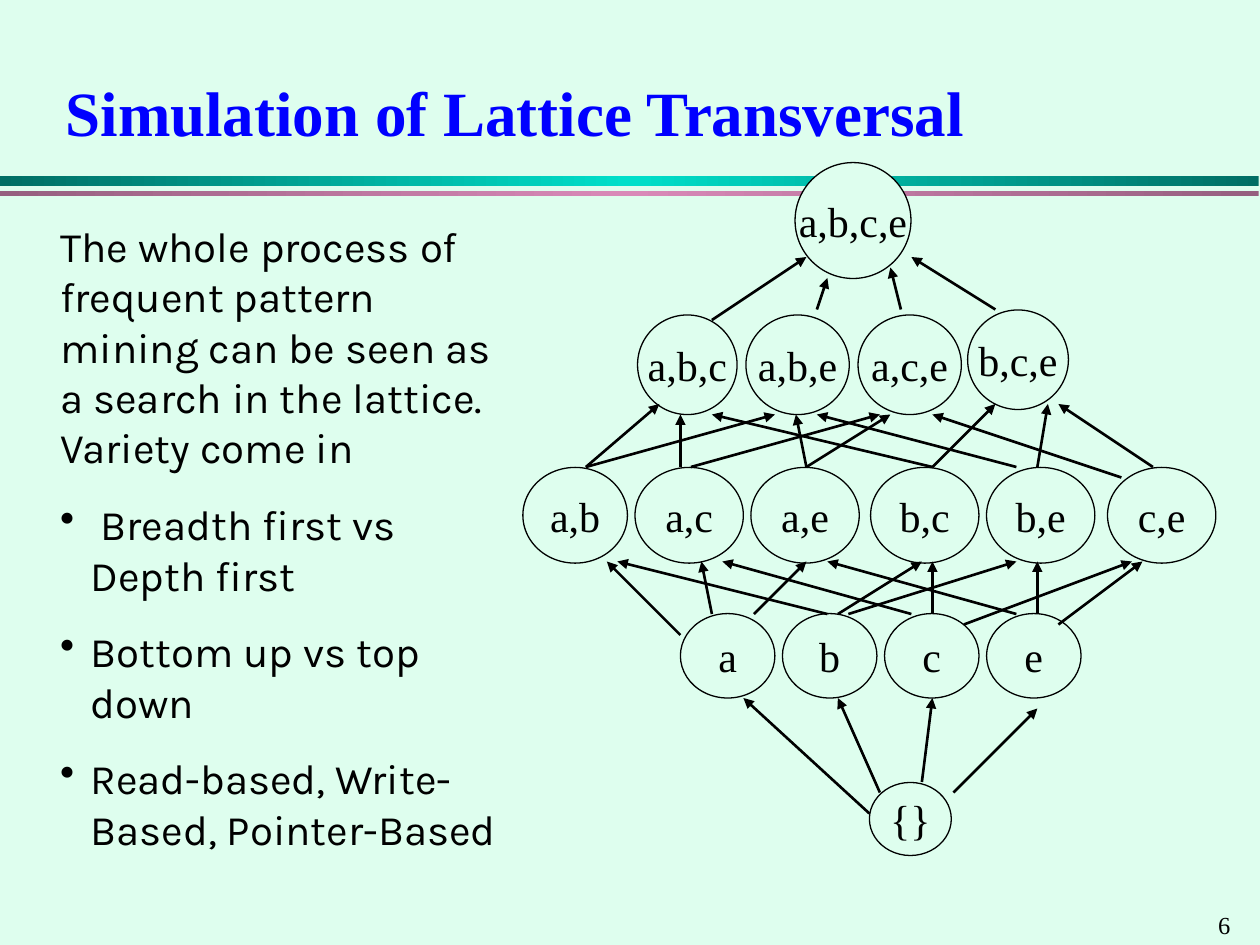
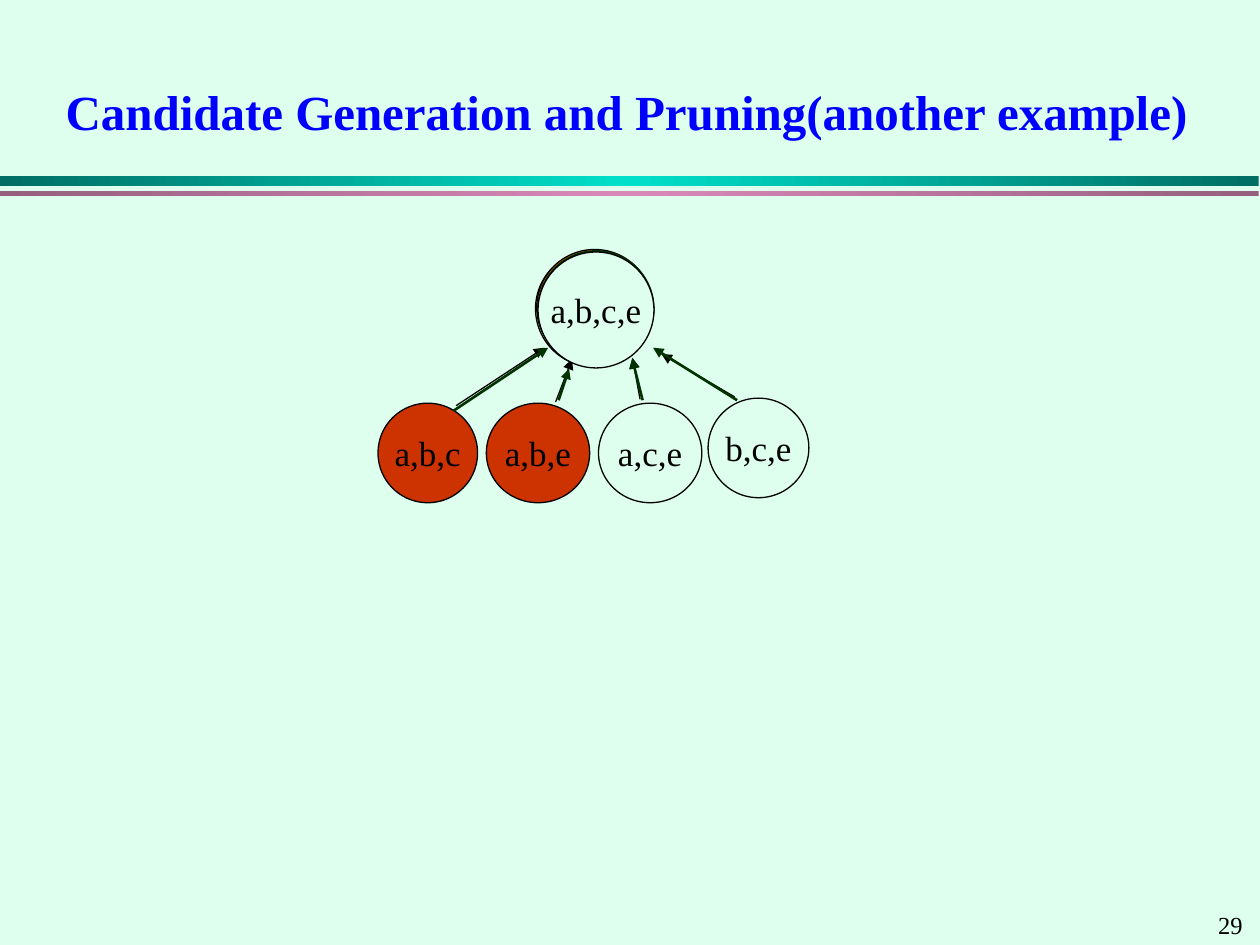
from copy import deepcopy

from lxml.etree import SubElement as Sub
from pptx import Presentation
from pptx.dml.color import RGBColor as Rgb
from pptx.enum.shapes import MSO_CONNECTOR as Link, MSO_SHAPE as Shape
from pptx.enum.text import MSO_ANCHOR as Anchor, PP_ALIGN as Align
from pptx.oxml.ns import qn
from pptx.util import Inches, Pt

HUES = {
    "mint": "DEFEEE", "ink": "000000", "blue": "0000FF",
    "teal": "006E64", "aqua": "00DFCA", "plum": "965F7F", "pink": "D989B8",
    "red": "CC3300", "orange": "FF6600", "green": "003300",
}
SERIF, SANS = "Times New Roman", "Karla"
THIN, BOLD = 0.74, 1.5

# Arrow grid: twelve cells to the inch, counted from this corner.
CELLS = 12
CORNER = (4.4, 2.04)
# Move of the top of the lattice on the second slide: circles, arrows.
MOVE = (-2.06, 0.7)
SLIDE = (-2.05, 0.72)

# Circles: label -> left, top, width, height.
APEX = {"a,b,c,e": (6.31, 1.29, 0.92, 0.92)}
TRIPLES = {
    "b,c,e": (7.68, 2.46, 0.8, 0.79),
    "a,b,e": (5.92, 2.5, 0.82, 0.79),
    "a,c,e": (6.81, 2.5, 0.82, 0.79),
    "a,b,c": (5.06, 2.5, 0.79, 0.79),
}
PAIRS = {"a,b": (4.15, 3.71, 0.83, 0.76)}
PAIRS.update({
    name: (left, 3.71, 0.86, 0.76)
    for name, left in zip(("a,c", "a,e", "b,c", "b,e", "c,e"),
                          (5.04, 5.96, 6.91, 7.83, 8.79))
})
SINGLES = {name: (5.4 + 0.81 * i, 4.87, 0.75, 0.67)
           for i, name in enumerate("abce")}
ROOT = {"{}": (6.9, 6.21, 0.65, 0.58)}

# Arrows on the grid: column and row of the start, then of the tip.
TO_SINGLES = [(46 - 8, 51, 46, 43), (35, 50, 36, 42),
              (31, 51, 27, 42), (30, 53, 18, 42)]
TO_PAIRS = [
    (12, 36, 5, 29), (15, 34, 14, 29), (19, 34, 24, 29), (27, 34, 35, 29),
    (26, 34, 6, 29), (28, 34, 44, 29), (34, 34, 16, 29), (36, 34, 36, 29),
    (39, 35, 55, 29), (44, 34, 26, 29), (46, 34, 46, 29), (48, 35, 56, 29),
]
TO_TRIPLES = [
    (3, 20, 10, 14), (3, 20, 21, 15), (12, 20, 12, 15), (13, 20, 31, 15),
    (24, 20, 23, 15), (24, 20, 32, 15), (36, 20, 15, 15), (36, 20, 42, 14),
    (44, 20, 25, 15), (46, 20, 47, 14), (54, 21, 36, 15), (57, 20, 48, 14),
]
TO_APEX = [(15, 6, 24, 0), (25, 5, 26, 2), (33, 5, 32, 1), (42, 5, 34, 0)]


def hue(name):
    """Return a named colour."""
    return Rgb.from_string(HUES[name])


def write(para, text, size, color="ink", face=SERIF, bold=False):
    """Add one formatted run to a paragraph."""
    run = para.add_run()
    run.text = text
    font = run.font
    font.size, font.name, font.bold = Pt(size), face, bold
    font.color.rgb = hue(color)


def place(shape, box):
    """Set left, top, width and height in inches."""
    shape.left, shape.top, shape.width, shape.height = map(Inches, box)


def text_box(slide, box):
    """Add a wrapping text box and return its frame."""
    frame = slide.shapes.add_textbox(*map(Inches, box)).text_frame
    frame.word_wrap = True
    return frame


def band(slide, top, height, edge, core):
    """Draw a full-width band that is brightest in the middle."""
    bar = slide.shapes.add_shape(
        Shape.RECTANGLE, 0, Inches(top), Inches(9.99), Inches(height))
    bar.shadow.inherit = False
    bar.line.fill.background()
    bar.fill.gradient()
    bar.fill.gradient_angle = 0
    first, last = bar.fill.gradient_stops
    first.color.rgb, first.position = hue(edge), 0
    last.color.rgb, last.position = hue(core), 0.5
    stops = bar._element.spPr.find(".//" + qn("a:gsLst"))
    end = deepcopy(stops[0])
    end.set("pos", "100000")
    stops.append(end)


def new_slide(deck, title, size, page):
    """Add a slide with title, two bands and page number."""
    slide = deck.slides.add_slide(deck.slide_layouts[5])
    band(slide, 1.4, 0.08, "teal", "aqua")
    band(slide, 1.52, 0.04, "plum", "pink")
    write(text_box(slide, (9.57, 7.17, 0.43, 0.34)).paragraphs[0], page, 14)
    head = slide.shapes.title
    place(head, (0.42, 0.42, 9.17, 0.92))
    head.text_frame.vertical_anchor = Anchor.MIDDLE
    para = head.text_frame.paragraphs[0]
    para.alignment = Align.LEFT
    write(para, title, size, "blue", bold=True)
    return slide


def node(slide, box, text="", size=24, fill="mint", edge="ink"):
    """Draw one lattice circle; fill None leaves it open."""
    ring = slide.shapes.add_shape(Shape.OVAL, *map(Inches, box))
    ring.shadow.inherit = False
    if fill:
        ring.fill.solid()
        ring.fill.fore_color.rgb = hue(fill)
    else:
        ring.fill.background()
    ring.line.color.rgb, ring.line.width = hue(edge), Pt(THIN)
    if text:
        frame = ring.text_frame
        frame.word_wrap = False
        frame.vertical_anchor = Anchor.MIDDLE
        frame.paragraphs[0].alignment = Align.CENTER
        write(frame.paragraphs[0], text, size)


def arrow(slide, ends, color="ink", width=BOLD):
    """Draw an arrow between two points in inches."""
    line = slide.shapes.add_connector(Link.STRAIGHT, *map(Inches, ends))
    line.line.color.rgb, line.line.width = hue(color), Pt(width)
    props = line._element.spPr
    Sub(props.find(qn("a:ln")), qn("a:tailEnd"), type="triangle")
    Sub(props, qn("a:effectLst"))


def arrows(slide, cells, move=(0, 0), color="ink"):
    """Draw arrows given in grid cells, moved by an offset."""
    for ends in cells:
        arrow(slide, [CORNER[i % 2] + move[i % 2] + cell / CELLS
                      for i, cell in enumerate(ends)], color)


def shift(box, move):
    """Return a box moved by an offset."""
    return box[0] + move[0], box[1] + move[1], box[2], box[3]


def prose(slide, intro, points):
    """Write the opening text and its bullet points."""
    frame = text_box(slide, (0.38, 1.7, 3.7, 5.13))
    for i, text in enumerate([intro] + points):
        para = frame.add_paragraph() if i else frame.paragraphs[0]
        para.space_before = Pt(15)
        if i:
            props = para._p.get_or_add_pPr()
            props.set("marL", str(Inches(0.24)))
            props.set("indent", str(-Inches(0.24)))
            Sub(props, qn("a:buChar"), char="•")
        write(para, text, 24, face=SANS)


def lattice(deck):
    """Build the slide with the whole lattice."""
    slide = new_slide(deck, "Simulation of Lattice Transversal", 36, "6")
    for row in (PAIRS, TRIPLES, SINGLES, APEX, ROOT):
        for name, box in row.items():
            node(slide, box, name)
    for cells in (TO_SINGLES, TO_PAIRS, TO_TRIPLES, TO_APEX):
        arrows(slide, cells)
    prose(slide,
          "The whole process of frequent pattern mining can be seen as "
          "a search in the lattice. Variety come in",
          [" Breadth first vs Depth first", "Bottom up vs top down",
           "Read-based, Write-Based, Pointer-Based"])


def pruning(deck):
    """Build the slide with the pruned top of the lattice."""
    slide = new_slide(
        deck, "Candidate Generation and Pruning(another example)", 28, "29")
    arrow(slide, (5.83, 3.15, 5.25, 2.81), width=THIN)
    fills = {"b,c,e": None, "a,b,e": "red", "a,b,c": "red"}
    for name, box in TRIPLES.items():
        node(slide, shift(box, MOVE), name, 20, fills.get(name, "mint"))
    (name, box), = APEX.items()
    peak = shift(box, MOVE)
    node(slide, peak)
    node(slide, shift(peak, (0.01, -0.01)), fill="orange")
    for ends in ((3.62, 3.22, 4.32, 2.76), (4.41, 3.19, 4.54, 2.85),
                 (5.08, 3.17, 5.02, 2.84)):
        arrow(slide, ends, width=THIN)
    arrows(slide, TO_APEX, SLIDE, "green")
    node(slide, shift(peak, (0.02, 0)), fill="green", edge="green")
    node(slide, shift(peak, (0.02, 0.01)), name, 20)


def main():
    """Build and save the deck."""
    deck = Presentation()
    deck.slide_width, deck.slide_height = Inches(10), Inches(7.5)
    back = deck.slide_master.background.fill
    back.solid()
    back.fore_color.rgb = hue("mint")
    lattice(deck)
    pruning(deck)
    deck.save("out.pptx")


main()
